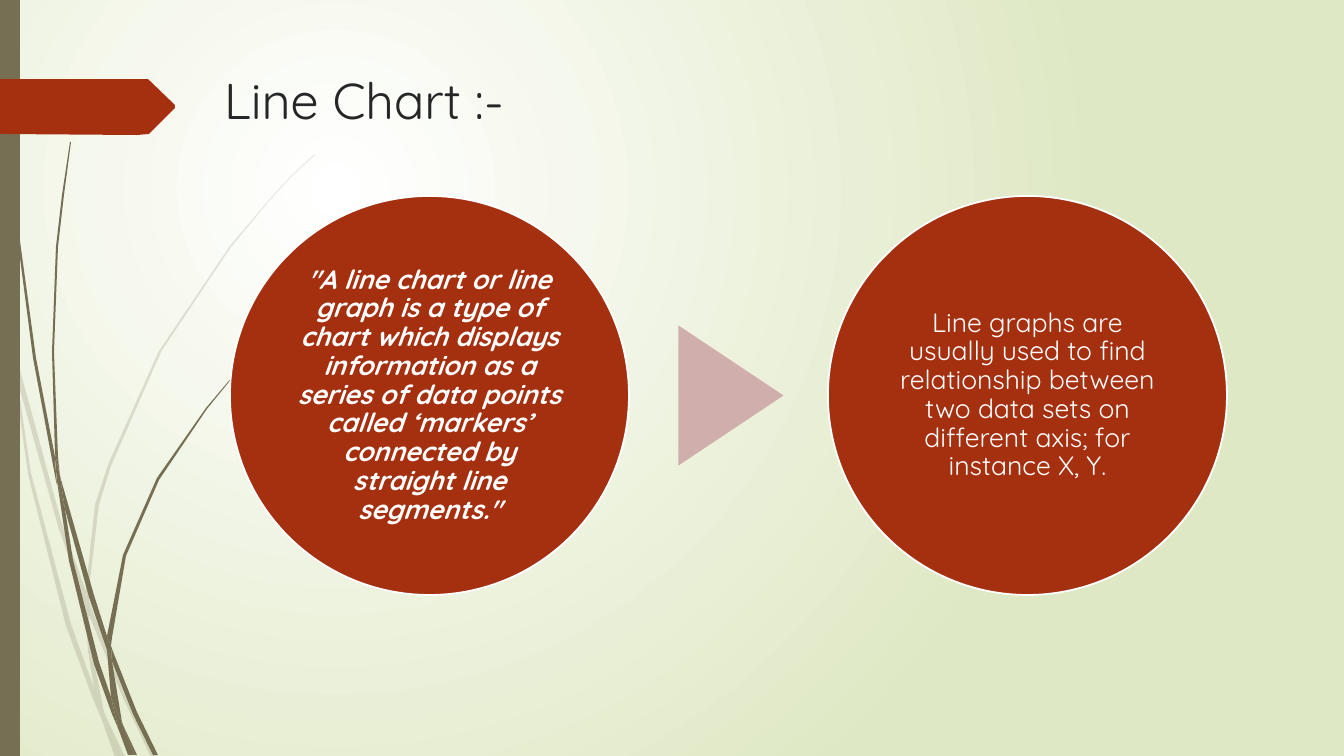
from lxml.etree import SubElement
from pptx import Presentation
from pptx.dml.color import RGBColor
from pptx.enum.shapes import MSO_SHAPE
from pptx.enum.text import MSO_ANCHOR, MSO_AUTO_SIZE, PP_ALIGN
from pptx.oxml.ns import qn
from pptx.util import Pt

PIXEL = 914400 / 100.8
FONT = "Quicksand"
COLORS = {
    "paper": "FFFFFF",
    "sage": "DFE8C4",
    "olive": "766F54",
    "rust": "A53010",
    "pink": "CFAEAB",
    "ink": "262626",
}


def emu(pixels):
    return round(pixels * PIXEL)


def paint(shape, color):
    shape.shadow.inherit = False
    shape.fill.solid()
    shape.fill.fore_color.rgb = RGBColor.from_string(COLORS[color])
    shape.line.fill.background()


deck = Presentation()
deck.slide_width, deck.slide_height = emu(1344), emu(756)
page = deck.slides.add_slide(deck.slide_layouts[5])
shapes = page.shapes

backdrop = page.background.fill
backdrop.gradient()
for stop, color in zip(backdrop.gradient_stops, ("paper", "sage")):
    stop.color.rgb = RGBColor.from_string(COLORS[color])
gradient = page.element.find(".//" + qn("a:gradFill"))
gradient.remove(gradient.find(qn("a:lin")))
radial = SubElement(gradient, qn("a:path"), path="circle")
SubElement(radial, qn("a:fillToRect"), l="50000", t="50000", r="100000", b="100000")

pale_blades = [
    [(11, 353), (9, 325), (0, 284), (0, 301), (10, 347)],
    [(58, 526), (85, 604), (86, 591), (62, 524), (14, 348), (17, 379)],
    [(93, 612), (89, 601), (89, 615), (124, 700), (151, 757), (156, 757), (128, 698)],
    [(120, 757), (125, 757), (106, 717)],
    [(94, 688), (71, 624), (31, 473), (17, 379), (11, 353), (28, 474), (66, 626), (93, 699), (102, 720), (100, 713)],
    [(85, 604), (88, 651), (94, 688), (97, 698), (106, 717), (104, 712), (92, 651), (89, 615), (89, 613)],
    [(89, 589), (99, 505), (111, 466), (161, 352), (231, 247), (270, 200), (292, 176), (315, 155),
     (315, 154), (291, 176), (270, 199), (230, 246), (159, 351), (108, 465), (95, 505), (86, 589),
     (86, 591), (89, 601)],
    [(102, 720), (115, 757), (120, 757)],
    [(89, 613), (89, 615), (89, 601), (86, 591), (85, 604)],
    [(97, 698), (94, 688), (100, 713), (102, 720), (120, 757), (106, 717)],
]
dark_blades = [
    [(7, 111), (17, 235), (33, 358), (56, 481), (57, 485), (55, 461), (55, 457), (36, 358), (19, 234),
     (8, 110), (5, 48), (4, 0), (3, 0), (4, 48)],
    [(89, 597), (107, 650), (107, 638), (107, 636), (94, 595), (60, 476), (65, 509)],
    [(114, 654), (111, 646), (112, 661), (133, 714), (153, 755), (158, 755), (137, 712)],
    [(111, 697), (99, 662), (73, 560), (65, 509), (57, 481), (69, 561), (94, 664), (112, 714), (118, 728), (117, 723)],
    [(60, 476), (58, 457), (54, 352), (58, 247), (64, 195), (71, 142), (70, 142), (62, 195), (56, 247),
     (52, 352), (55, 453)],
    [(134, 755), (137, 755), (123, 725)],
    [(57, 481), (65, 509), (60, 476), (55, 453), (55, 457)],
    [(112, 638), (126, 556), (159, 480), (207, 409), (233, 377), (247, 362), (263, 347), (262, 347),
     (247, 361), (233, 376), (206, 408), (157, 478), (123, 555), (107, 636), (111, 646)],
    [(118, 728), (128, 755), (132, 755)],
    [(107, 650), (111, 697), (117, 712), (123, 725), (122, 722), (112, 661), (110, 656)],
    [(107, 650), (110, 656), (112, 661), (111, 646), (107, 636), (107, 638)],
    [(117, 712), (111, 697), (117, 723), (118, 728), (131, 755), (134, 755), (123, 725)],
]
tag = [(0, 79), (148, 79), (175, 105), (175, 108), (149, 134), (137, 135), (0, 134)]

side_bar = shapes.add_shape(MSO_SHAPE.RECTANGLE, 0, 0, emu(20), emu(756))
paint(side_bar, "olive")
for outlines, color, opacity in ((pale_blades, "olive", 20), (dark_blades, "olive", 100), ([tag], "rust", 100)):
    for outline in outlines:
        corners = [(emu(x), emu(y)) for x, y in outline]
        builder = shapes.build_freeform(*corners[0], scale=1.0)
        builder.add_line_segments(corners[1:], close=True)
        blade = builder.convert_to_shape()
        paint(blade, color)
        if opacity < 100:
            tint = blade.element.spPr.find(".//" + qn("a:srgbClr"))
            SubElement(tint, qn("a:alpha"), val=str(opacity * 1000))

title = shapes.title
title.left, title.top, title.width, title.height = map(emu, (214, 64, 983, 141))
title.text_frame.text = "Line Chart :-\u00a0"
title.text_frame.vertical_anchor = MSO_ANCHOR.TOP
title.text_frame.auto_size = MSO_AUTO_SIZE.NONE
para = title.text_frame.paragraphs[0]
para.alignment = PP_ALIGN.LEFT
span = para.runs[0]
span.font.name, span.font.size = FONT, Pt(36)
span.font.color.rgb = RGBColor.from_string(COLORS["ink"])

circles = [
    (230, True, "\"A line chart or line graph is a type of chart which displays information as a "
                "series of data points called ‘markers’ connected by straight line segments.\""),
    (828, False, "Line graphs are usually used to find relationship between two data sets on "
                 "different axis; for instance X, Y."),
]
for left, emphasis, text in circles:
    circle = shapes.add_shape(MSO_SHAPE.OVAL, emu(left), emu(196), emu(399), emu(399))
    paint(circle, "rust")
    circle.line.color.rgb = RGBColor.from_string(COLORS["paper"])
    circle.line.width = Pt(1.25)
    frame = circle.text_frame
    frame.text = text
    frame.word_wrap = True
    frame.vertical_anchor = MSO_ANCHOR.MIDDLE
    frame.margin_left = frame.margin_right = frame.margin_top = frame.margin_bottom = emu(3)
    para = frame.paragraphs[0]
    para.alignment = PP_ALIGN.CENTER
    para.line_spacing = 0.9
    span = para.runs[0]
    span.font.name, span.font.size = FONT, Pt(19)
    span.font.bold = span.font.italic = emphasis
    span.font.color.rgb = RGBColor.from_string(COLORS["paper"])

arrow = shapes.add_shape(MSO_SHAPE.ISOSCELES_TRIANGLE, emu(661), emu(343), emu(140), emu(105))
arrow.rotation = 90
paint(arrow, "pink")

deck.save("out.pptx")
